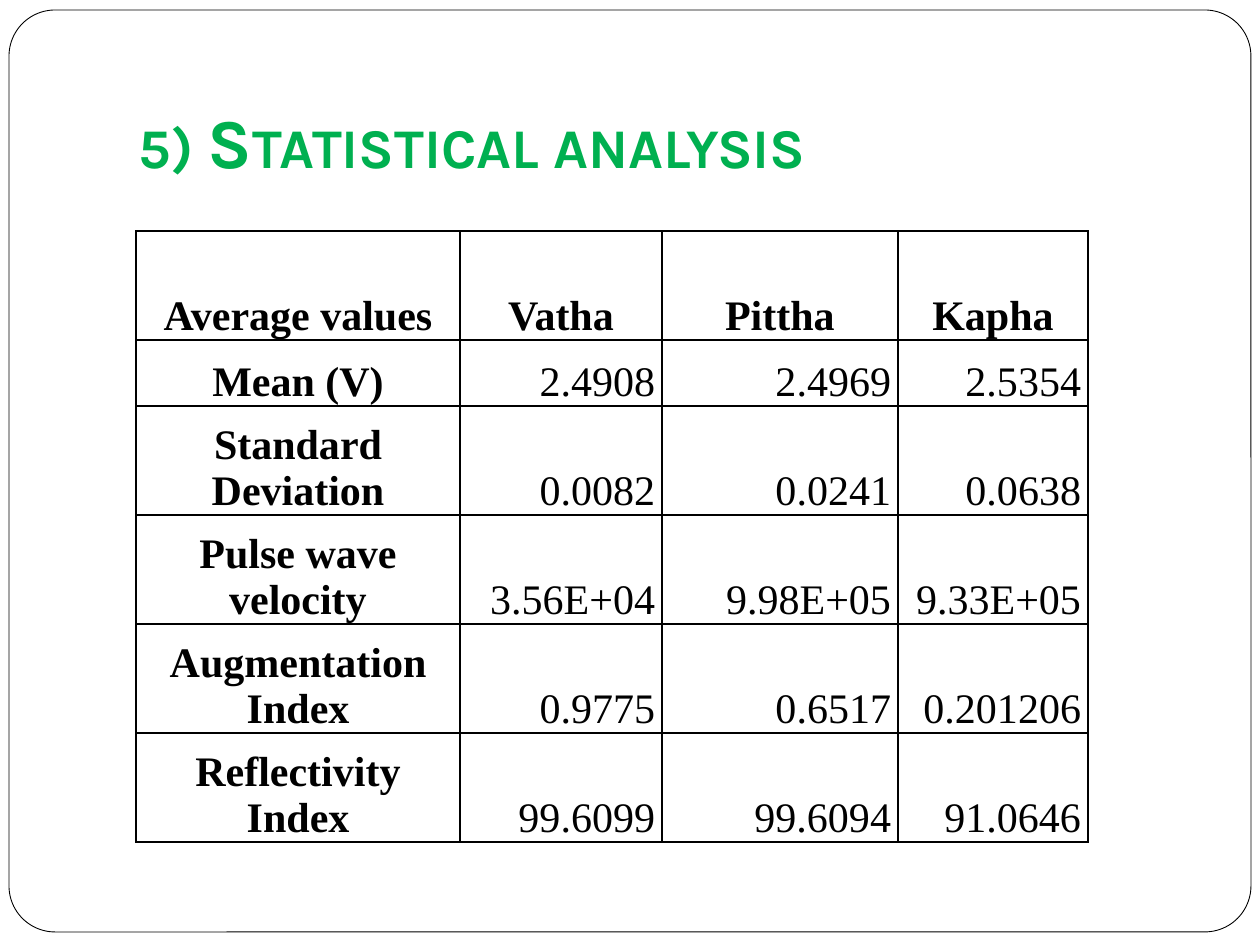
from lxml import etree
from pptx import Presentation
from pptx.dml.color import RGBColor
from pptx.enum.shapes import MSO_SHAPE
from pptx.enum.text import MSO_ANCHOR, PP_ALIGN
from pptx.oxml.ns import qn
from pptx.util import Pt

PX = 914400 // 126
ROUNDED = MSO_SHAPE.ROUNDED_RECTANGLE
BOTTOM = MSO_ANCHOR.BOTTOM
CENTER, RIGHT = PP_ALIGN.CENTER, PP_ALIGN.RIGHT
COLORS = {"paper": "FFFFFF", "ink": "000000", "title": "00B050"}
COLUMN_WIDTHS = [324, 202, 236, 190]
ROW_HEIGHTS = [109, 66, 109, 109, 109, 109]
STATISTICS = [
    ["Average values", "Vatha", "Pittha", "Kapha"],
    ["Mean (V)", "2.4908", "2.4969", "2.5354"],
    ["Standard Deviation", "0.0082", "0.0241", "0.0638"],
    ["Pulse wave velocity", "3.56E+04", "9.98E+05", "9.33E+05"],
    ["Augmentation Index", "0.9775", "0.6517", "0.201206"],
    ["Reflectivity Index", "99.6099", "99.6094", "91.0646"],
]


def px(*lengths):
    return [length * PX for length in lengths]


def color(name):
    return RGBColor.from_string(COLORS[name])


def set_font(para, name, size, color_name, bold):
    font = para.font
    font.name, font.size, font.bold = name, Pt(size), bold
    font.color.rgb = color(color_name)


def set_margins(item, left, top, right, bottom):
    item.margin_left, item.margin_top, item.margin_right, item.margin_bottom = px(
        left, top, right, bottom)


def add_frame(page):
    frame = page.shapes.add_shape(ROUNDED, *px(9, 10, 1242, 922))
    frame.adjustments[0] = 0.05
    frame.shadow.inherit = False
    frame.fill.solid()
    frame.fill.fore_color.rgb = color("paper")
    frame.line.color.rgb = color("ink")
    frame.line.width = Pt(0.5)


def add_title(page, text):
    box = page.shapes.add_textbox(*px(126, 38, 1071, 157))
    text_frame = box.text_frame
    text_frame.word_wrap = True
    text_frame.vertical_anchor = BOTTOM
    set_margins(text_frame, 13, 6, 13, 13)
    para = text_frame.paragraphs[0]
    span = para.add_run()
    span.text = text
    set_font(para, "Karla", 40, "title", True)
    span.font._element.set("cap", "small")


def set_borders(cell):
    properties = cell._tc.get_or_add_tcPr()
    for position, side in enumerate(("lnL", "lnR", "lnT", "lnB")):
        line = etree.Element(qn(f"a:{side}"), w=str(Pt(1)))
        fill = etree.SubElement(line, qn("a:solidFill"))
        etree.SubElement(fill, qn("a:srgbClr"), val=COLORS["ink"])
        properties.insert(position, line)


def fill_cell(cell, text, heading):
    cell.text = text
    cell.fill.background()
    cell.vertical_anchor = BOTTOM
    set_margins(cell, 7, 0, 7, 0)
    para = cell.text_frame.paragraphs[0]
    para.alignment = CENTER if heading else RIGHT
    set_font(para, "Times New Roman", 24, "ink", heading)
    set_borders(cell)


def add_statistics(page):
    table = page.shapes.add_table(
        len(ROW_HEIGHTS), len(COLUMN_WIDTHS),
        *px(136, 231, sum(COLUMN_WIDTHS), sum(ROW_HEIGHTS))).table
    table.first_row = table.horz_banding = False
    for column, width in zip(table.columns, COLUMN_WIDTHS):
        column.width = width * PX
    for row_index, (row, height) in enumerate(zip(table.rows, ROW_HEIGHTS)):
        row.height = height * PX
        for column_index, cell in enumerate(row.cells):
            heading = row_index == 0 or column_index == 0
            fill_cell(cell, STATISTICS[row_index][column_index], heading)


def main():
    """Build the statistical analysis slide."""
    deck = Presentation()
    deck.slide_width, deck.slide_height = px(1260, 945)
    page = deck.slides.add_slide(deck.slide_layouts[6])
    add_frame(page)
    add_title(page, "5) Statistical analysis")
    add_statistics(page)
    deck.save("out.pptx")


if __name__ == "__main__":
    main()
